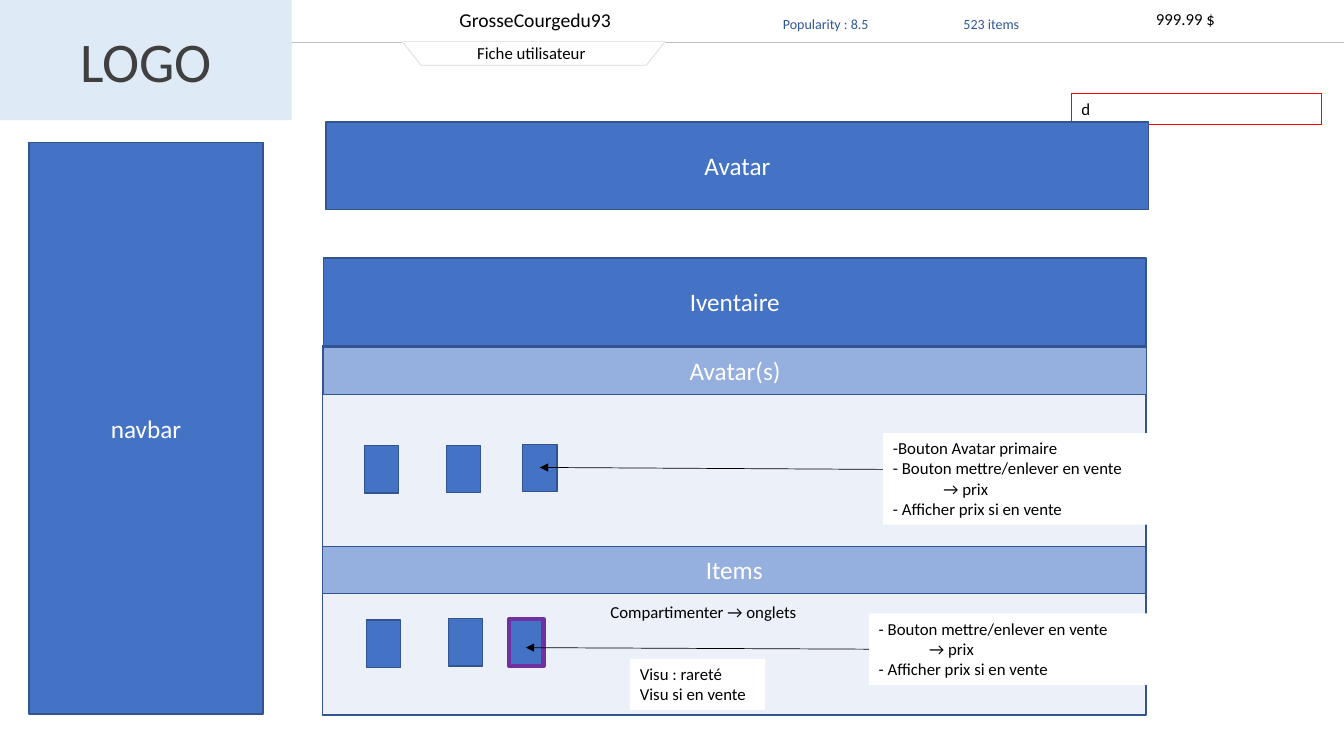
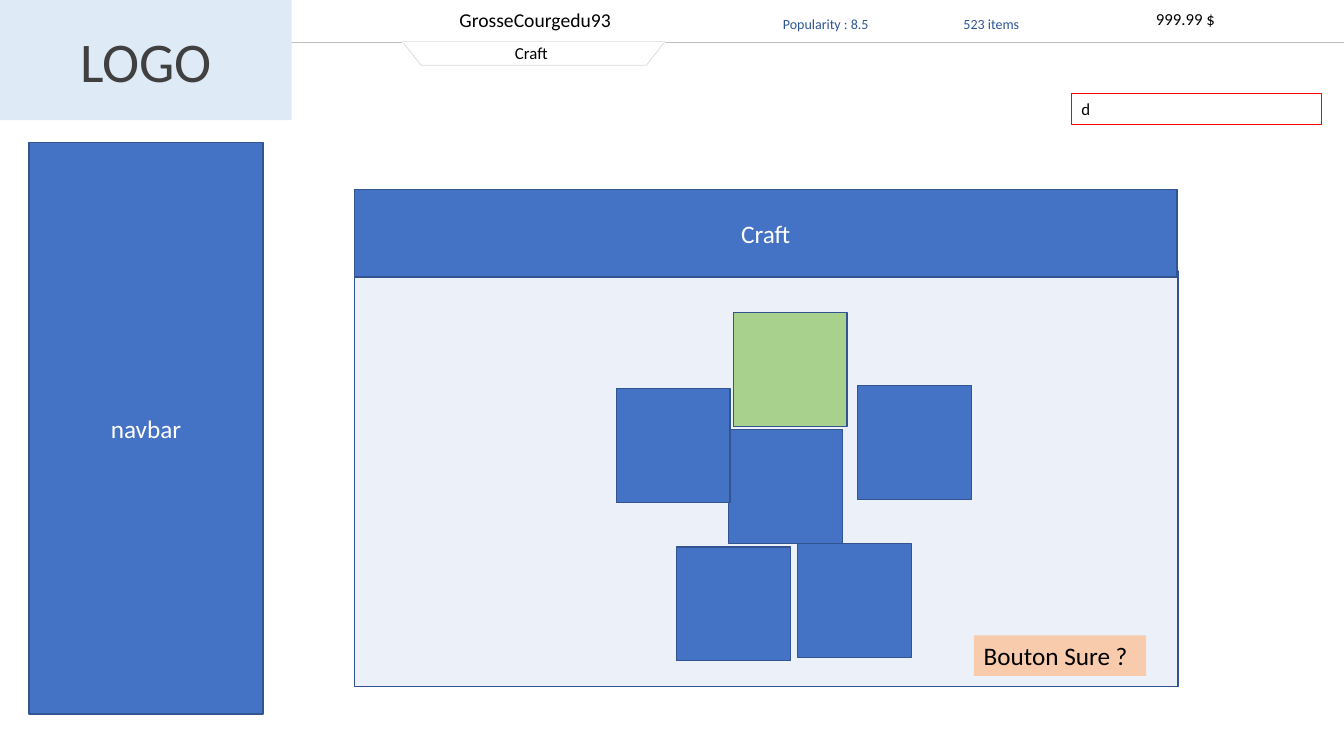
from dataclasses import dataclass

from lxml import etree
from pptx import Presentation
from pptx.dml.color import RGBColor
from pptx.enum.shapes import MSO_CONNECTOR, MSO_SHAPE
from pptx.enum.text import MSO_ANCHOR, PP_ALIGN
from pptx.oxml.ns import qn
from pptx.util import Pt

RECTANGLE, TRAPEZOID = MSO_SHAPE.RECTANGLE, MSO_SHAPE.TRAPEZOID
STRAIGHT = MSO_CONNECTOR.STRAIGHT
LEFT, CENTER = PP_ALIGN.LEFT, PP_ALIGN.CENTER
TOP, MIDDLE = MSO_ANCHOR.TOP, MSO_ANCHOR.MIDDLE
LEFT_SIDE = 1


@dataclass(frozen=True)
class Theme:
    font: str = "Calibri"
    blue: str = "4472C4"
    outline: str = "325491"
    band: str = "95AFDF"
    panel: str = "EBF0F9"
    logo: str = "DEEBF7"
    logo_text: str = "404040"
    stat: str = "2F5597"
    rule: str = "BFBFBF"
    tab: str = "D9D9D9"
    search: str = "FF0000"
    rare: str = "7030A0"
    result: str = "A9D18E"
    button: str = "F8CBAD"
    white: str = "FFFFFF"
    black: str = "000000"
    small: int = 10
    body: int = 12
    user: int = 14
    heading: int = 18
    display: int = 40
    hairline: float = 0.5
    thin: float = 0.75
    border: float = 1
    thick: float = 3


THEME = Theme()
BLOCK_SIZE = (587.5, 62.6)
BAND_SIZE = (588.2, 33.8)
THUMBNAIL_SIZE = (24.5, 33.8)
SLOT_SIZE = (81.4, 81.4)


class Wireframe:
    """Draws the site's pages; boxes are (left, top, width, height) in points."""

    def __init__(self, presentation):
        self.presentation = presentation
        self.slide = None

    def add_page(self):
        layout = self.presentation.slide_layouts[6]
        self.slide = self.presentation.slides.add_slide(layout)

    def add_text(self, shape, lines, size, color, align, anchor):
        frame = shape.text_frame
        frame.word_wrap = True
        frame.vertical_anchor = anchor
        for index, line in enumerate(lines):
            paragraph = frame.paragraphs[0] if index == 0 else frame.add_paragraph()
            paragraph.alignment = align
            run = paragraph.add_run()
            run.text = line
            run.font.name = THEME.font
            run.font.size = Pt(size)
            run.font.color.rgb = RGBColor.from_string(color)

    def shape(self, box, fill=None, line=None, width=THEME.border, kind=RECTANGLE):
        shape = self.slide.shapes.add_shape(kind, *map(Pt, box))
        shape.shadow.inherit = False
        if fill:
            shape.fill.solid()
            shape.fill.fore_color.rgb = RGBColor.from_string(fill)
        else:
            shape.fill.background()
        if line:
            shape.line.color.rgb = RGBColor.from_string(line)
            shape.line.width = Pt(width)
        else:
            shape.line.fill.background()
        return shape

    def block(self, box, title, fill=THEME.blue):
        shape = self.shape(box, fill, THEME.outline)
        self.add_text(shape, [title], THEME.heading, THEME.white, CENTER, MIDDLE)

    def tiles(self, positions, size):
        return [self.shape((*position, *size), THEME.blue, THEME.outline)
                for position in positions]

    def note(self, box, lines, fill=THEME.white, size=THEME.body):
        shape = self.shape(box, fill)
        self.add_text(shape, lines, size, THEME.black, LEFT, TOP)
        return shape

    def label(self, box, text, size=THEME.body, color=THEME.black,
              align=LEFT, anchor=TOP):
        shape = self.slide.shapes.add_textbox(*map(Pt, box))
        self.add_text(shape, [text], size, color, align, anchor)

    def line(self, start, end, color, arrow=False):
        connector = self.slide.shapes.add_connector(STRAIGHT, *map(Pt, start + end))
        connector.line.color.rgb = RGBColor.from_string(color)
        connector.line.width = Pt(THEME.hairline)
        if arrow:
            outline = connector.line._get_or_add_ln()
            etree.SubElement(outline, qn("a:tailEnd"), type="triangle")
        etree.SubElement(connector._element.spPr, qn("a:effectLst"))
        return connector

    def site_frame(self, page_name):
        """Header, page tab, logo, search field and navigation bar."""
        self.line((0, 30.4), (960, 30.4), THEME.rule)
        self.label((818.6, 2.9, 92.2, 21.6), "999.99 $")
        for left, text in ((681.1, "523 items"), (552.2, "Popularity : 8.5")):
            self.label((left, 7.2, 92.2, 19.4), text, THEME.small, THEME.stat)
        self.label((289.4, 0, 185.8, 28.8), "GrosseCourgedu93", THEME.user,
                   align=CENTER, anchor=MIDDLE)

        tab = self.shape((287.5, 29.8, 187.4, 16.8), THEME.white, THEME.tab,
                         THEME.hairline, TRAPEZOID)
        tab.adjustments[0] = 0.785
        tab.rotation = 180
        self.line((287.5, 30.2), (474.9, 30.2), THEME.white)
        self.label((301, 28.8, 157, 17.3), page_name, align=CENTER, anchor=MIDDLE)

        logo = self.shape((0, 0, 208.4, 85.8), THEME.logo)
        self.add_text(logo, ["LOGO"], THEME.display, THEME.logo_text, CENTER, MIDDLE)
        search = self.shape((765.4, 66.9, 178.6, 21.8), None, THEME.search, THEME.thin)
        self.add_text(search, ["d"], THEME.body, THEME.black, LEFT, TOP)
        self.block((20.6, 102, 167.4, 408), "navbar")


def build_user_page(page):
    page.add_page()
    page.site_frame("Fiche utilisateur")
    page.block((231.1, 184.3, *BLOCK_SIZE), "Iventaire")
    page.block((233, 87.2, *BLOCK_SIZE), "Avatar")
    page.shape((230.4, 247, 588.2, 263.8), THEME.panel, THEME.outline)
    page.block((231, 248, *BAND_SIZE), "Avatar(s)", THEME.band)
    page.block((230.4, 390.2, *BAND_SIZE), "Items", THEME.band)

    page.tiles([(260.3, 318.4), (318.8, 318.2), (373.3, 317.5)], THUMBNAIL_SIZE)
    items = page.tiles([(261.8, 443), (320.4, 442), (363.8, 442.2)], THUMBNAIL_SIZE)
    rare_item = items[-1]
    rare_item.line.color.rgb = RGBColor.from_string(THEME.rare)
    rare_item.line.width = Pt(THEME.thick)

    sale_lines = ["- Bouton mettre/enlever en vente", "\t→ prix",
                  "- Afficher prix si en vente"]
    page.line((630.7, 335.3), (385.6, 333.9), THEME.black, arrow=True)
    page.note((630.7, 309.3, 229.7, 65.5), ["-Bouton Avatar primaire"] + sale_lines)
    item_note = page.note((620.6, 438.2, 229.7, 51), sale_lines)
    item_arrow = page.line((620.6, 463.7), (375.6, 462.6), THEME.black, arrow=True)
    item_arrow.begin_connect(item_note, LEFT_SIDE)
    page.note((450, 470.7, 96.5, 36.4), ["Visu : rareté", "Visu si en vente"])
    page.label((428.9, 426.4, 151.2, 21.8), "Compartimenter → onglets")


def build_craft_page(page):
    page.add_page()
    page.shape((253.4, 193.7, 588.2, 296.6), THEME.panel, THEME.outline)
    page.site_frame("Craft")
    page.shape((523.8, 223.2, *SLOT_SIZE), THEME.result, THEME.outline)
    page.tiles([(520.3, 306.8), (483.2, 390.6), (569.5, 388.2),
                (612.4, 275.4), (440.2, 277.5)], SLOT_SIZE)
    page.block((253.2, 135.4, *BLOCK_SIZE), "Craft")
    page.note((695.6, 453.8, 123.1, 29), ["Bouton Sure ?"], THEME.button, THEME.heading)


def main():
    presentation = Presentation()
    presentation.slide_width, presentation.slide_height = Pt(960), Pt(540)
    page = Wireframe(presentation)
    build_user_page(page)
    build_craft_page(page)
    presentation.save("out.pptx")


if __name__ == "__main__":
    main()
